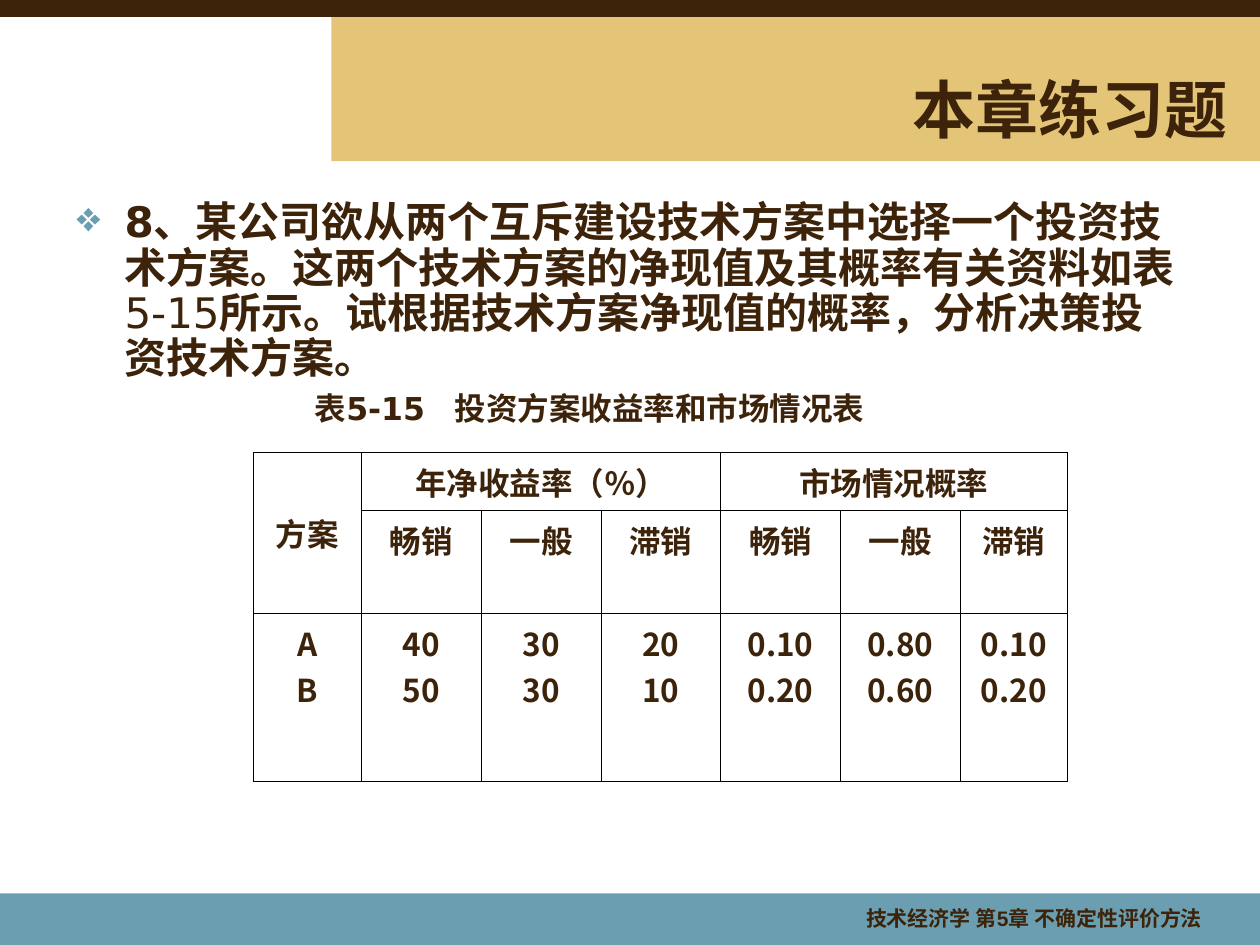
import dataclasses

import lxml.etree
import pptx
import pptx.dml.color
import pptx.enum.shapes
import pptx.enum.text
import pptx.oxml.ns
import pptx.util

ALIGN = pptx.enum.text.PP_ALIGN
ANCHOR = pptx.enum.text.MSO_ANCHOR


@dataclasses.dataclass(frozen=True)
class Theme:
    ink: str = "3C230A"
    sand: str = "E4C578"
    teal: str = "6A9EB0"
    rule: str = "000000"
    heading_font: str = "Arial"
    body_font: str = "DejaVu Sans"
    cjk_font: str = "Noto Sans CJK SC"
    title_size: int = 36
    body_size: int = 24
    table_size: int = 18
    footer_size: int = 12
    rule_width: float = 0.45


THEME = Theme()
COLUMNS, ROWS = 100, 75


def grid(units):
    return pptx.util.Inches(units / 10)


def area(*units):
    return [grid(unit) for unit in units]


def color(value):
    return pptx.dml.color.RGBColor.from_string(value)


def add_element(parent, tag, **attributes):
    return lxml.etree.SubElement(parent, pptx.oxml.ns.qn(tag), attributes)


def add_run(paragraph, text, size, font, bold=True):
    run = paragraph.add_run()
    run.text = text
    run.font.size = pptx.util.Pt(size)
    run.font.bold = bold
    run.font.color.rgb = color(THEME.ink)
    run.font.name = font
    add_element(run.font._element, "a:ea", typeface=THEME.cjk_font)


def set_indent(paragraph, margin, first_line):
    properties = paragraph._p.get_or_add_pPr()
    properties.set("marL", str(grid(margin)))
    properties.set("indent", str(grid(first_line)))
    return properties


def add_band(slide, place, fill, outlined=False):
    band = slide.shapes.add_shape(
        pptx.enum.shapes.MSO_SHAPE.RECTANGLE, *area(*place))
    band.shadow.inherit = False
    band.fill.solid()
    band.fill.fore_color.rgb = color(fill)
    if outlined:
        band.line.color.rgb = color(fill)
        band.line.width = pptx.util.Pt(0.75)
    else:
        band.line.fill.background()


def add_text_frame(slide, place):
    frame = slide.shapes.add_textbox(*area(*place)).text_frame
    frame.word_wrap = True
    return frame


def set_title(slide, text):
    title = slide.shapes.title
    title.left, title.top, title.width, title.height = area(29.2, 5.5, 69.2, 6.2)
    frame = title.text_frame
    frame.auto_size = pptx.enum.text.MSO_AUTO_SIZE.NONE
    frame.vertical_anchor = ANCHOR.MIDDLE
    heading = frame.paragraphs[0]
    heading.alignment = ALIGN.RIGHT
    add_run(heading, text, THEME.title_size, THEME.heading_font)


def add_exercise(slide):
    frame = add_text_frame(slide, (5.1, 15.5, 89.1, 22))
    question = frame.paragraphs[0]
    question.line_spacing = 0.9
    bullet = set_indent(question, 3.8, -3.8)
    add_element(add_element(bullet, "a:buClr"), "a:srgbClr", val=THEME.teal)
    add_element(bullet, "a:buChar", char="❖")
    for text, bold in (
        ("8、某公司欲从两个互斥建设技术方案中选择一个投资技术方案。"
         "这两个技术方案的净现值及其概率有关资料如表", True),
        ("5-15", False),
        ("所示。试根据技术方案净现值的概率，分析决策投资技术方案。", True),
    ):
        add_run(question, text, THEME.body_size, THEME.body_font, bold)

    caption = frame.add_paragraph()
    caption.line_spacing = 0.9
    caption.space_before = pptx.util.Pt(6)
    stops = add_element(set_indent(caption, 0, 18.9), "a:tabLst")
    add_element(stops, "a:tab", pos=str(grid(34.9)), algn="l")
    add_run(caption, "表5-15\t投资方案收益率和市场情况表",
            THEME.table_size, THEME.body_font)


def format_cell(cell, text):
    for side in ("L", "R", "T", "B"):
        border = add_element(cell._tc.get_or_add_tcPr(), f"a:ln{side}",
                             w=str(pptx.util.Pt(THEME.rule_width)))
        add_element(add_element(border, "a:solidFill"), "a:srgbClr", val=THEME.rule)
    cell.fill.background()
    for index, line in enumerate(text.split("\n")):
        frame = cell.text_frame
        entry = frame.add_paragraph() if index else frame.paragraphs[0]
        entry.alignment = ALIGN.CENTER
        add_run(entry, line, THEME.table_size, THEME.cjk_font)


def add_returns_table(slide):
    markets = ["畅销", "一般", "滞销"]
    plan_a = ["A", "40", "30", "20", "0.10", "0.80", "0.10"]
    plan_b = ["B", "50", "30", "10", "0.20", "0.60", "0.20"]
    content = [
        ["方案", "年净收益率（％）", "", "", "市场情况概率", "", ""],
        ["", *markets, *markets],
        [f"{a}\n{b}" for a, b in zip(plan_a, plan_b)],
    ]
    widths = [8.6, *[9.5] * 5, 8.5]
    heights = [4.6, 8.2, 13.3]
    table = slide.shapes.add_table(
        len(heights), len(widths),
        *area(20.1, 35.9, sum(widths), sum(heights))).table
    table.first_row = table.horz_banding = False
    for column, width in zip(table.columns, widths):
        column.width = grid(width)
    for row, height in zip(table.rows, heights):
        row.height = grid(height)
    for row, texts in zip(table.rows, content):
        for cell, text in zip(row.cells, texts):
            format_cell(cell, text)
    for first, last in (((0, 0), (1, 0)), ((0, 1), (0, 3)), ((0, 4), (0, 6))):
        table.cell(*first).merge(table.cell(*last))
    table.cell(0, 0).vertical_anchor = ANCHOR.MIDDLE


def add_footer(slide, text):
    footer = add_text_frame(slide, (61.8, 71.4, 34.6, 3.3)).paragraphs[0]
    footer.alignment = ALIGN.RIGHT
    add_run(footer, text, THEME.footer_size, THEME.heading_font)


def main():
    deck = pptx.Presentation()
    deck.slide_width, deck.slide_height = area(COLUMNS, ROWS)
    slide = deck.slides.add_slide(deck.slide_layouts.get_by_name("Title Only"))
    add_band(slide, (26.3, 1.3, COLUMNS - 26.3, 11.5), THEME.sand)
    add_band(slide, (0, 70.9, COLUMNS, ROWS - 70.9), THEME.teal)
    add_band(slide, (0, 0, COLUMNS, 1.3), THEME.ink, outlined=True)
    title = slide.shapes.title._element
    title.getparent().append(title)
    set_title(slide, "本章练习题")
    add_exercise(slide)
    add_returns_table(slide)
    add_footer(slide, "技术经济学 第5章 不确定性评价方法")
    deck.save("out.pptx")


if __name__ == "__main__":
    main()
